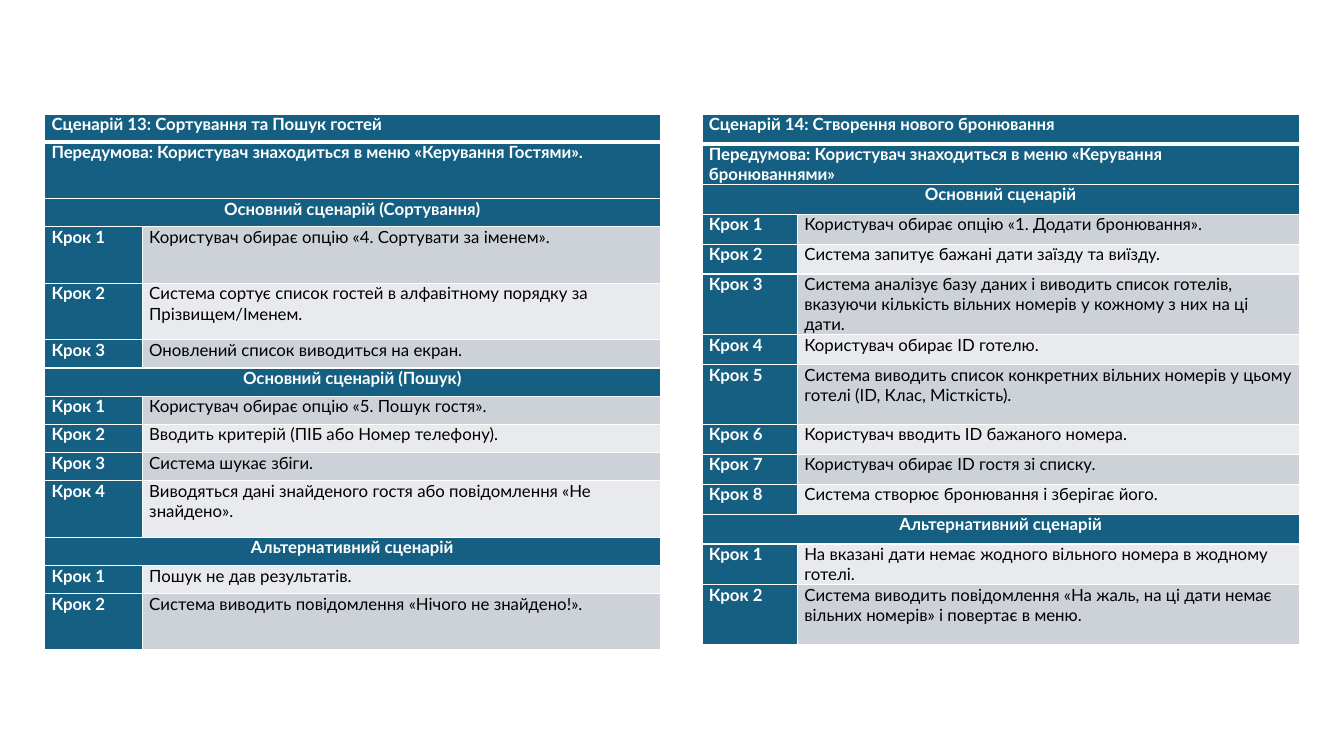
import pptx
import pptx.util
import pptx.dml.color
import pptx.enum.text
import pptx.oxml.ns
import lxml.etree

Pt = pptx.util.Pt
RGBColor = pptx.dml.color.RGBColor
ALIGN = pptx.enum.text.PP_ALIGN

TEAL = RGBColor(0x15, 0x60, 0x82)
GREY = RGBColor(0xCC, 0xD2, 0xD8)
PALE = RGBColor(0xE8, 0xEA, 0xED)
WHITE = RGBColor(0xFF, 0xFF, 0xFF)
BLACK = RGBColor(0, 0, 0)

# Each part is a heading and the steps below it.
GUESTS = [
    ("Сценарій 13: Сортування та Пошук гостей", []),
    ("Передумова: Користувач знаходиться в меню «Керування Гостями».", []),
    ("Основний сценарій (Сортування)", [
        "Користувач обирає опцію «4. Сортувати за іменем».",
        "Система сортує список гостей в алфавітному порядку за Прізвищем/Іменем.",
        "Оновлений список виводиться на екран.",
    ]),
    ("Основний сценарій (Пошук)", [
        "Користувач обирає опцію «5. Пошук гостя».",
        "Вводить критерій (ПІБ або Номер телефону).",
        "Система шукає збіги.",
        "Виводяться дані знайденого гостя або повідомлення «Не знайдено».",
    ]),
    ("Альтернативний сценарій", [
        "Пошук не дав результатів.",
        "Система виводить повідомлення «Нічого не знайдено!».",
    ]),
]
BOOKING = [
    ("Сценарій 14: Створення нового бронювання", []),
    ("Передумова: Користувач знаходиться в меню «Керування бронюваннями»", []),
    ("Основний сценарій", [
        "Користувач обирає опцію «1. Додати бронювання».",
        "Система запитує бажані дати заїзду та виїзду.",
        "Система аналізує базу даних і виводить список готелів, "
        "вказуючи кількість вільних номерів у кожному з них на ці дати.",
        "Користувач обирає ID готелю.",
        "Система виводить список конкретних вільних номерів у цьому готелі "
        "(ID, Клас, Місткість).",
        "Користувач вводить ID бажаного номера.",
        "Користувач обирає ID гостя зі списку.",
        "Система створює бронювання і зберігає його.",
    ]),
    ("Альтернативний сценарій", [
        "На вказані дати немає жодного вільного номера в жодному готелі.",
        "Система виводить повідомлення «На жаль, на ці дати немає вільних номерів» "
        "і повертає в меню.",
    ]),
]


def write(cell, text, color=WHITE, bold=True, align=ALIGN.LEFT):
    cell.margin_left = cell.margin_right = Pt(5)
    cell.margin_top = cell.margin_bottom = 0
    para = cell.text_frame.paragraphs[0]
    para.alignment = align
    run = para.add_run()
    run.text = text
    run.font.name = "Lato"
    run.font.size = Pt(12)
    run.font.bold = bold
    run.font.color.rgb = color


def paint(cell, fill, top=1, bottom=1):
    """Draw white borders, with widths in points, and fill the cell."""
    qn = pptx.oxml.ns.qn
    props = cell._tc.get_or_add_tcPr()
    for side, width in (("L", 1), ("R", 1), ("T", top), ("B", bottom)):
        line = lxml.etree.SubElement(props, qn("a:ln" + side), w=str(Pt(width)))
        solid = lxml.etree.SubElement(line, qn("a:solidFill"))
        lxml.etree.SubElement(solid, qn("a:srgbClr"), val=str(WHITE))
    cell.fill.solid()
    cell.fill.fore_color.rgb = fill


def list_rows(parts):
    """Flatten the parts into (heading, None) and (step label, text) rows."""
    rows = []
    for head, steps in parts:
        rows.append((head, None))
        rows += [(f"Крок {num}", step) for num, step in enumerate(steps, 1)]
    return rows


def add_case(slide, parts, left, top, widths, unit, tall):
    """Place a scenario table; the rows in tall are two units high."""
    rows = list_rows(parts)
    height = unit * (len(rows) + len(tall))
    frame = slide.shapes.add_table(
        len(rows), 2, Pt(left), Pt(top), Pt(sum(widths)), Pt(height))
    table = frame.table
    table.first_row = table.horz_banding = False
    for col, width in zip(table.columns, widths):
        col.width = Pt(width)
    for row, (label, text) in enumerate(rows):
        table.rows[row].height = Pt(unit * (2 if row in tall else 1))
        first, second = table.cell(row, 0), table.cell(row, 1)
        edges = {"top": 3 if row == 1 else 1, "bottom": 3 if row == 0 else 1}
        paint(first, TEAL, **edges)
        if text is None:
            paint(second, TEAL, **edges)
            first.merge(second)
            write(first, label, align=ALIGN.CENTER if row > 1 else ALIGN.LEFT)
        else:
            paint(second, GREY if row % 2 else PALE, **edges)
            write(first, label)
            write(second, text, color=BLACK, bold=False)


def main():
    deck = pptx.Presentation()
    deck.slide_width, deck.slide_height = Pt(960), Pt(540)
    slide = deck.slides.add_slide(deck.slide_layouts[6])
    add_case(slide, GUESTS, 31.8, 81.4, (69.8, 370), 20.16, {1, 3, 4, 10, 13})
    add_case(slide, BOOKING, 501.4, 81.4, (68.2, 358.6), 21.4, {5, 7, 13})
    deck.save("out.pptx")


if __name__ == "__main__":
    main()
